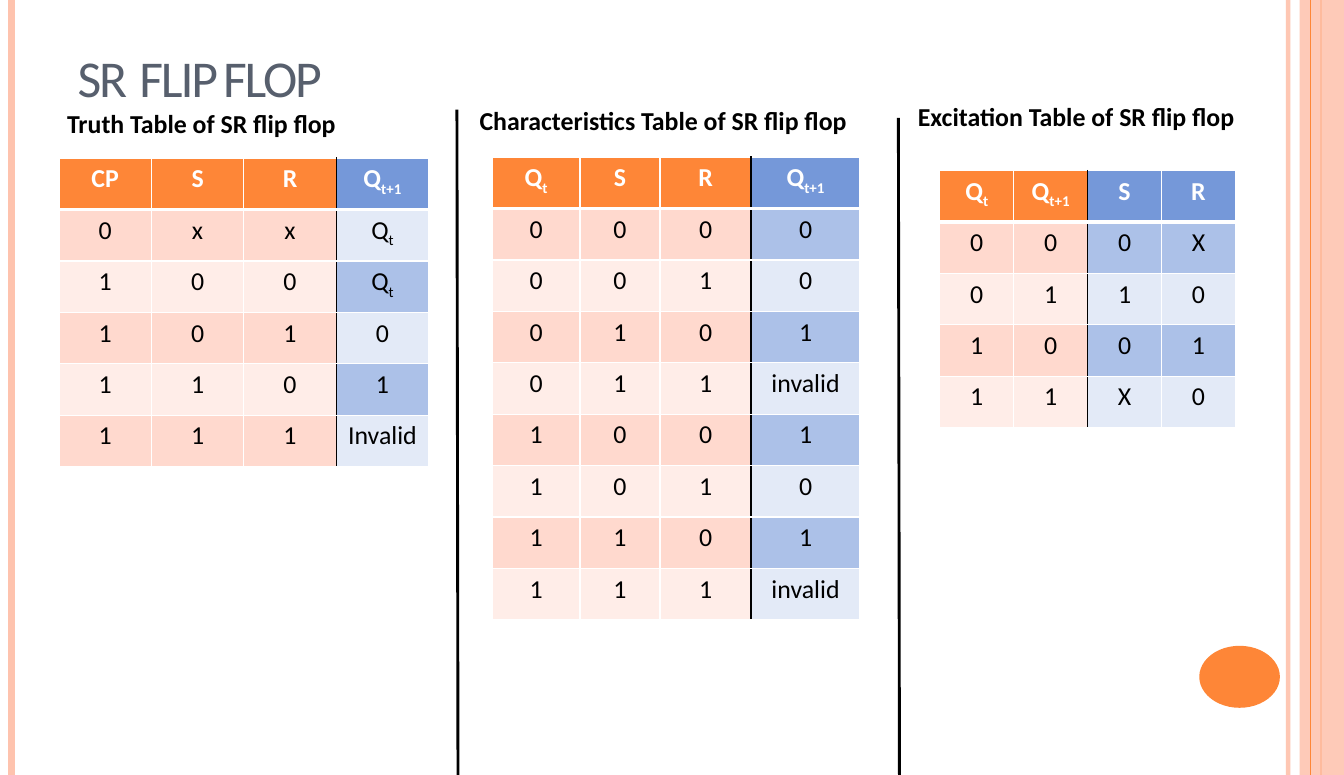
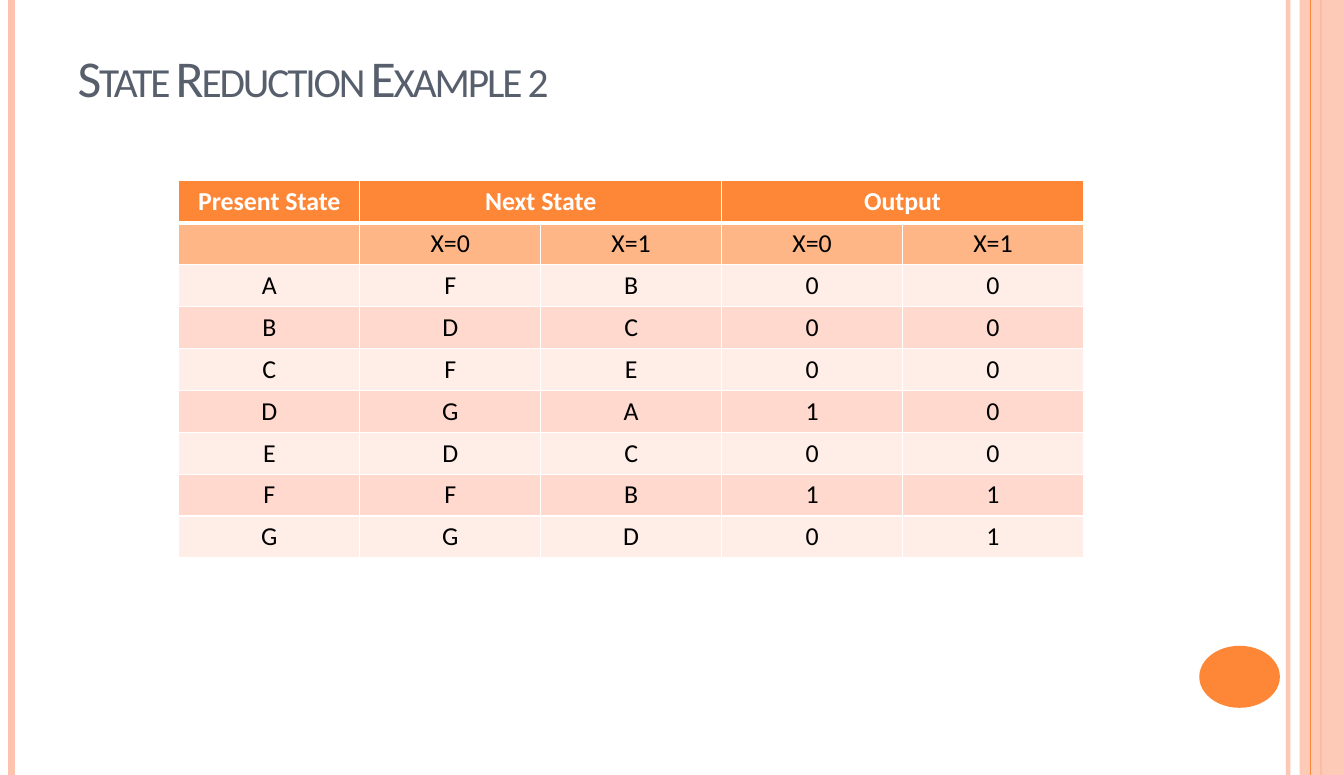
from dataclasses import dataclass
from typing import NamedTuple, Optional

from lxml.etree import SubElement as Sub
from pptx import Presentation as Deck
from pptx.dml.color import RGBColor as Rgb
from pptx.enum.shapes import MSO_CONNECTOR as Link, MSO_SHAPE as Form
from pptx.enum.text import MSO_ANCHOR as Anchor, MSO_AUTO_SIZE as Fit, PP_ALIGN as Align
from pptx.oxml.ns import qn
from pptx.util import Pt

WIDTH, HEIGHT = 936, 540


@dataclass(frozen=True)
class Theme:
    font: str = "Calibri"
    head: int = 36
    text: int = 18
    tight: str = "-150"
    sub: str = "-25000"
    slate: str = "575F6D"
    black: str = "000000"
    white: str = "FFFFFF"
    orange: str = "FE8637"
    amber: str = "FEB687"
    peach: str = "FEC3AE"
    blue: str = "7598D9"
    warm: tuple[str, str] = ("FFEDE8", "FFD9CE")
    cool: tuple[str, str] = ("E3EAF7", "ACC1E8")


THEME = Theme()


class Rule(NamedTuple):
    x: float
    top: float
    end: float
    tint: str
    width: float
    alpha: int = 100
    lean: float = 0


class Label(NamedTuple):
    x: float
    y: float
    width: float
    text: str


@dataclass(frozen=True)
class Grid:
    x: float
    y: float
    widths: tuple[float, ...]
    step: float
    rows: list[list[Optional[str]]]
    blue: int = 0
    flip: bool = False
    subhead: bool = False

    @property
    def split(self) -> int:
        return len(self.widths) - self.blue

    def tint(self, row: int, col: int) -> str:
        cool = col >= self.split
        if row == 0:
            return THEME.blue if cool else THEME.orange
        if row == 1 and self.subhead:
            return THEME.amber
        if cool:
            return THEME.cool[(row + self.flip) % 2]
        return THEME.warm[row % 2]


FRAME = [
    Rule(897.12, 0, HEIGHT, THEME.peach, 3, 93),
    Rule(7.92, 0, HEIGHT, THEME.peach, 4.5),
    Rule(920.16, 0, HEIGHT, THEME.orange, 1.5),
    Rule(912.96, 0, HEIGHT, THEME.orange, 0.75),
]
SPLITS = [
    Rule(318.24, 76.32, HEIGHT, THEME.black, 2, lean=0.72),
    Rule(625.68, 82.08, HEIGHT, THEME.black, 2, lean=0.72),
]
LABELS = [
    Label(39.6, 71.28, 252.72, "Truth Table of SR flip flop"),
    Label(326.88, 69.12, 281.52, "Characteristics Table of SR flip flop"),
    Label(632.16, 66.96, 281.52, "Excitation Table of SR flip flop"),
]
TRUTH = Grid(41.04, 110.16, (64.4,) * 4, 35.84, [
    ["CP", "S", "R", "Q_t+1"],
    ["0", "x", "x", "Q_t"],
    ["1", "0", "0", "Q_t"],
    ["1", "0", "1", "0"],
    ["1", "1", "0", "1"],
    ["1", "1", "1", "Invalid"],
], blue=1, flip=True)
TRAITS = Grid(342.72, 109.44, (61.2, 55.8, 63.36, 75.96), 35.84, [
    ["Q_t", "S", "R", "Q_t+1"],
    ["0", "0", "0", "0"],
    ["0", "0", "1", "0"],
    ["0", "1", "0", "1"],
    ["0", "1", "1", "invalid"],
    ["1", "0", "0", "1"],
    ["1", "0", "1", "0"],
    ["1", "1", "0", "1"],
    ["1", "1", "1", "invalid"],
], blue=1)
EXCITE = Grid(654.48, 118.8, (51.48,) * 4, 35.84, [
    ["Q_t", "Q_t+1", "S", "R"],
    ["0", "0", "0", "X"],
    ["0", "1", "1", "0"],
    ["1", "0", "0", "1"],
    ["1", "1", "X", "0"],
], blue=2)
STATES = Grid(124.56, 126, (126,) * 5, 29.2, [
    ["Present State", "Next State", None, "Output", None],
    ["", "X=0", "X=1", "X=0", "X=1"],
    ["A", "F", "B", "0", "0"],
    ["B", "D", "C", "0", "0"],
    ["C", "F", "E", "0", "0"],
    ["D", "G", "A", "1", "0"],
    ["E", "D", "C", "0", "0"],
    ["F", "F", "B", "1", "1"],
    ["G", "G", "D", "0", "1"],
], subhead=True)


def add_run(par, text: str, size: float, tint: str, bold: bool = False):
    run = par.add_run()
    run.text = text
    run.font.name = THEME.font
    run.font.size = Pt(size)
    run.font.bold = bold
    run.font.color.rgb = Rgb.from_string(tint)
    return run._r.get_or_add_rPr()


def fade(fill, alpha: int) -> None:
    if alpha < 100:
        tone = fill.find(".//" + qn("a:srgbClr"))
        Sub(tone, qn("a:alpha"), val=str(alpha * 1000))


def add_rule(slide, rule: Rule) -> None:
    line = slide.shapes.add_connector(
        Link.STRAIGHT, Pt(rule.x), Pt(rule.top), Pt(rule.x + rule.lean), Pt(rule.end))
    line.line.width = Pt(rule.width)
    line.line.color.rgb = Rgb.from_string(rule.tint)
    props = line._element.spPr
    fade(props, rule.alpha)
    Sub(props, qn("a:effectLst"))


def add_form(slide, kind: Form, box: tuple[float, ...], tint: str, alpha: int = 100) -> None:
    form = slide.shapes.add_shape(kind, *map(Pt, box))
    form.shadow.inherit = False
    form.fill.solid()
    form.fill.fore_color.rgb = Rgb.from_string(tint)
    form.line.fill.background()
    fade(form._element.spPr, alpha)


def add_label(slide, label: Label) -> None:
    box = slide.shapes.add_textbox(Pt(label.x), Pt(label.y), Pt(label.width), Pt(28.8))
    frame = box.text_frame
    frame.word_wrap = True
    frame.auto_size = Fit.SHAPE_TO_FIT_TEXT
    add_run(frame.paragraphs[0], label.text, THEME.text, THEME.black, True)


def set_edge(cell, side: str, tint: str, width: float) -> None:
    edge = Sub(cell._tc.get_or_add_tcPr(), qn("a:ln" + side), w=str(Pt(width)))
    Sub(Sub(edge, qn("a:solidFill")), qn("a:srgbClr"), val=tint)


def set_cell(cell, grid: Grid, row: int, col: int) -> None:
    left = THEME.black if col == grid.split else THEME.white
    right = THEME.black if col + 1 == grid.split < len(grid.widths) else THEME.white
    set_edge(cell, "L", left, 1)
    set_edge(cell, "R", right, 1)
    set_edge(cell, "T", THEME.white, 3 if row == 1 else 1)
    set_edge(cell, "B", THEME.white, 3 if row == 0 else 1)
    cell.fill.solid()
    cell.fill.fore_color.rgb = Rgb.from_string(grid.tint(row, col))
    text = grid.rows[row][col]
    if not text:
        return
    par = cell.text_frame.paragraphs[0]
    par.alignment = Align.CENTER
    tint = THEME.black if row else THEME.white
    base, _, low = text.partition("_")
    add_run(par, base, THEME.text, tint, row == 0)
    if low:
        add_run(par, low, THEME.text, tint, row == 0).set("baseline", THEME.sub)


def add_grid(slide, grid: Grid) -> None:
    count = len(grid.rows)
    table = slide.shapes.add_table(
        count, len(grid.widths), Pt(grid.x), Pt(grid.y),
        Pt(sum(grid.widths)), Pt(grid.step * count)).table
    for col, width in zip(table.columns, grid.widths):
        col.width = Pt(width)
    for r, line in enumerate(grid.rows):
        table.rows[r].height = Pt(grid.step)
        for c, text in enumerate(line):
            set_cell(table.cell(r, c), grid, r, c)
            if text is None:
                table.cell(r, c - 1).merge(table.cell(r, c))


def add_slide(deck, width: float, title: str):
    slide = deck.slides.add_slide(deck.slide_layouts[5])
    for rule in FRAME[:3]:
        add_rule(slide, rule)
    add_form(slide, Form.RECTANGLE, (905.04, 0, 30.96, HEIGHT), THEME.peach, 87)
    add_rule(slide, FRAME[3])
    add_form(slide, Form.OVAL, (835.2, 450, 56.16, 43.2), THEME.orange)
    head = slide.shapes.title
    head.left, head.top, head.width, head.height = map(Pt, (46.8, 21.6, width, 56.88))
    frame = head.text_frame
    frame.auto_size = Fit.NONE
    frame.word_wrap = True
    frame.vertical_anchor = Anchor.BOTTOM
    par = frame.paragraphs[0]
    par.alignment = Align.LEFT
    props = add_run(par, title, THEME.head, THEME.slate)
    props.set("cap", "small")
    props.set("spc", THEME.tight)
    return slide


def main() -> None:
    deck = Deck()
    deck.slide_width, deck.slide_height = Pt(WIDTH), Pt(HEIGHT)
    flip = add_slide(deck, 787.68, "SR  FLIP FLOP")
    for grid in (TRAITS, TRUTH, EXCITE):
        add_grid(flip, grid)
    for label in LABELS:
        add_label(flip, label)
    for rule in SPLITS:
        add_rule(flip, rule)
    state = add_slide(deck, 846, "State Reduction Example 2")
    add_grid(state, STATES)
    deck.save("out.pptx")


if __name__ == "__main__":
    main()
